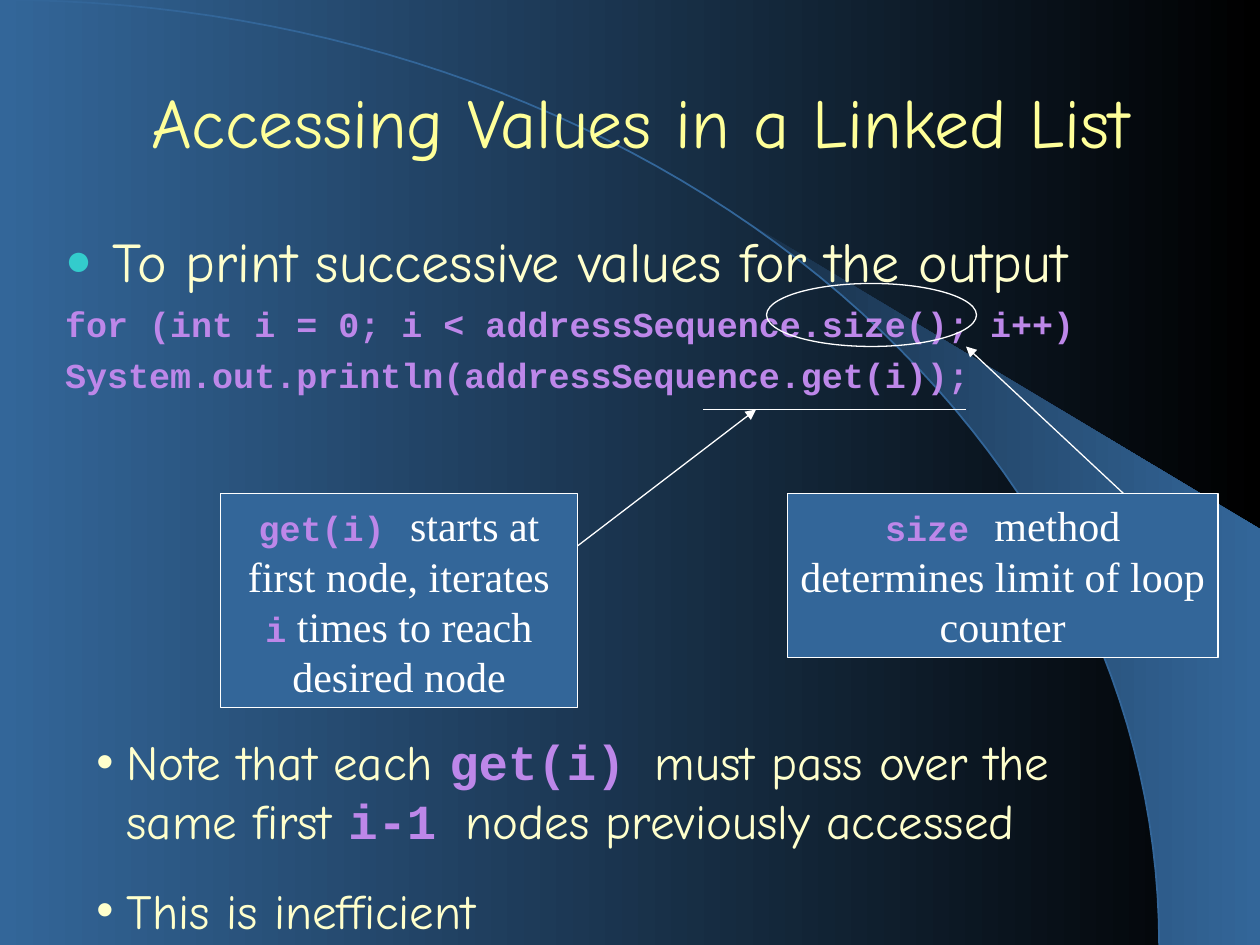
from dataclasses import dataclass
from math import asin, cos, pi, sin
from typing import NamedTuple

from lxml import etree
from pptx import Presentation
from pptx.dml.color import RGBColor
from pptx.enum.shapes import MSO_CONNECTOR, MSO_SHAPE
from pptx.enum.text import MSO_ANCHOR, MSO_AUTO_SIZE, PP_ALIGN
from pptx.oxml.ns import qn
from pptx.util import Emu, Inches, Pt

RECT, OVAL = MSO_SHAPE.RECTANGLE, MSO_SHAPE.OVAL
STRAIGHT = MSO_CONNECTOR.STRAIGHT
TOP, MIDDLE = MSO_ANCHOR.TOP, MSO_ANCHOR.MIDDLE
LEFT, CENTER = PP_ALIGN.LEFT, PP_ALIGN.CENTER
FIXED = MSO_AUTO_SIZE.NONE
CELL = Inches(1) // 12
COLS, ROWS = 120, 90


@dataclass(frozen=True)
class Theme:
    blue: str = "336699"
    navy: str = "182F47"
    black: str = "000000"
    white: str = "FFFFFF"
    gold: str = "FFFF99"
    cream: str = "FFFFCC"
    teal: str = "33CCCC"
    violet: str = "BD87E9"
    hand: str = "Comic Neue"
    mono: str = "Courier New"
    serif: str = "Times New Roman"
    title: int = 40
    lead: int = 32
    note: int = 28
    box: int = 24
    code: int = 20
    thin: float = 0.75


T = Theme()


class Box(NamedTuple):
    col: float
    row: float
    wide: float
    high: float


class Run(NamedTuple):
    text: str
    font: str
    size: int
    color: str
    bold: bool = False


class Bullet(NamedTuple):
    mark: str
    color: str
    share: int = 100


class Para(NamedTuple):
    runs: list[Run]
    before: float = 0
    align: PP_ALIGN = LEFT
    hang: float = 0
    bullet: Bullet | None = None


class Link(NamedTuple):
    start: tuple[float, float]
    end: tuple[float, float]
    arrow: bool = True


class Callout(NamedTuple):
    box: Box
    runs: list[Run]


def rgb(color: str) -> RGBColor:
    return RGBColor.from_string(color)


def grid(*cells: float) -> list[Emu]:
    return [Emu(round(cell * CELL)) for cell in cells]


def apply(item, values: dict) -> None:
    for name, value in values.items():
        setattr(item, name, value)


def code(text: str, size: int = T.code) -> Run:
    return Run(text, T.mono, size, T.violet, True)


def hand(text: str, size: int, color: str = T.cream) -> Run:
    return Run(text, T.hand, size, color)


def serif(text: str) -> Run:
    return Run(text, T.serif, T.box, T.white)


def mark(para, bullet: Bullet | None) -> None:
    props = para._p.get_or_add_pPr()
    if bullet is None:
        etree.SubElement(props, qn("a:buNone"))
        return
    tint = etree.SubElement(props, qn("a:buClr"))
    etree.SubElement(tint, qn("a:srgbClr"), val=bullet.color)
    etree.SubElement(props, qn("a:buSzPct"), val=str(bullet.share * 1000))
    etree.SubElement(props, qn("a:buFont"), typeface="Arial")
    etree.SubElement(props, qn("a:buChar"), char=bullet.mark)


def write(shape, paras: list[Para], anchor: MSO_ANCHOR = TOP) -> None:
    frame = shape.text_frame
    apply(frame, {"word_wrap": True, "auto_size": FIXED, "vertical_anchor": anchor})
    for index, item in enumerate(paras):
        para = frame.add_paragraph() if index else frame.paragraphs[0]
        apply(para, {"alignment": item.align, "space_before": Pt(item.before)})
        hang = Inches(item.hang)
        props = para._p.get_or_add_pPr()
        props.set("marL", str(hang))
        props.set("indent", str(-hang))
        mark(para, item.bullet)
        for part in item.runs:
            run = para.add_run()
            run.text = part.text
            apply(run.font, {"name": part.font, "size": Pt(part.size), "bold": part.bold})
            run.font.color.rgb = rgb(part.color)


def place(shape, box: Box) -> None:
    apply(shape, dict(zip(("left", "top", "width", "height"), grid(*box))))


def stroke(line, color: str = T.white, width: float = T.thin) -> None:
    line.color.rgb = rgb(color)
    line.width = Pt(width)


def blend(fill, first: str, last: str) -> None:
    fill.gradient()
    fill.gradient_angle = 0
    for stop, color in zip(fill.gradient_stops, (first, last)):
        stop.color.rgb = rgb(color)


def draw(shapes, kind: MSO_SHAPE, box: Box, color: str | None = None):
    shape = shapes.add_shape(kind, *grid(*box))
    shape.shadow.inherit = False
    if color:
        shape.fill.solid()
        shape.fill.fore_color.rgb = rgb(color)
    else:
        shape.fill.background()
    stroke(shape.line)
    return shape


def join(shapes, link: Link) -> None:
    wire = shapes.add_connector(STRAIGHT, *grid(*link.start, *link.end))
    stroke(wire.line)
    if link.arrow:
        etree.SubElement(wire.line._get_or_add_ln(), qn("a:tailEnd"), type="triangle")
    etree.SubElement(wire._element.spPr, qn("a:effectLst"))


def curve(first: float, steps: int = 60) -> list[tuple[float, float]]:
    wide, high = COLS * 0.92, ROWS
    turns = [first + (pi / 2 - first) * i / steps for i in range(steps + 1)]
    return [(wide * sin(turn), high * (1 - cos(turn))) for turn in turns]


def trace(shapes, points: list[tuple[float, float]], close: bool):
    spots = [tuple(grid(*point)) for point in points]
    pen = shapes.build_freeform(*spots[0])
    pen.add_line_segments(spots[1:], close=close)
    shape = pen.convert_to_shape()
    shape.shadow.inherit = False
    return shape


def sweep(shapes) -> None:
    edge = curve(asin(0.64)) + [(COLS, ROWS), (COLS, ROWS * 0.56)]
    wedge = trace(shapes, edge, True)
    blend(wedge.fill, T.navy, T.blue)
    wedge.line.fill.background()
    arc = trace(shapes, curve(0), False)
    arc.fill.background()
    stroke(arc.line, T.blue, 1)
    for shape in (arc, wedge):
        shapes._spTree.insert(2, shape._element)


CODE = [
    "for (int i = 0; i < addressSequence.size(); i++)",
    "System.out.println(addressSequence.get(i));",
]
BODY = [
    Para([hand("To print successive values for the output", T.lead)],
         8, hang=0.38, bullet=Bullet("●", T.teal, 80)),
    *(Para([code(text)], 5, hang=0.38) for text in CODE),
]
CALLS = [
    Callout(Box(75, 47, 41, 15.6),
            [code("size"), code(" ", T.box), serif("method determines limit of loop counter")]),
    Callout(Box(21, 47, 34, 20.4),
            [code("get(i)"), code(" ", T.box), serif("starts at first node, iterates "),
             code("i"), serif(" times to reach desired node")]),
]
LINKS = [
    Link((107, 47), (92, 33)),
    Link((67, 39), (92, 39), False),
    Link((55, 52), (72, 39)),
]
NOTES = [
    [hand("Note that each ", T.note), code("get(i) ", T.note),
     hand("must pass over the same first ", T.note), code("i-1 ", T.note),
     hand("nodes previously accessed", T.note)],
    [hand("This is inefficient", T.note)],
]


def main() -> None:
    deck = Presentation()
    deck.slide_width, deck.slide_height = grid(COLS, ROWS)
    slide = deck.slides.add_slide(deck.slide_layouts[1])
    shapes = slide.shapes
    blend(slide.background.fill, T.blue, T.black)
    sweep(shapes)

    title, body = shapes.title, slide.placeholders[1]
    place(title, Box(8, 4, 106, 15))
    head = hand("Accessing Values in a Linked List", T.title, T.gold)
    write(title, [Para([head], align=CENTER)], MIDDLE)
    place(body, Box(5, 21, 111, 69))
    write(body, BODY)

    for call in CALLS:
        write(draw(shapes, RECT, call.box, T.blue), [Para(call.runs, 15, CENTER)])
    draw(shapes, OVAL, Box(73, 27, 20, 6))
    for link in LINKS:
        join(shapes, link)

    notes = shapes.add_textbox(*grid(8, 69.1, 105, 21))
    dot = Bullet("•", T.cream)
    write(notes, [Para(runs, 17.5, hang=0.24, bullet=dot) for runs in NOTES])
    deck.save("out.pptx")


if __name__ == "__main__":
    main()
